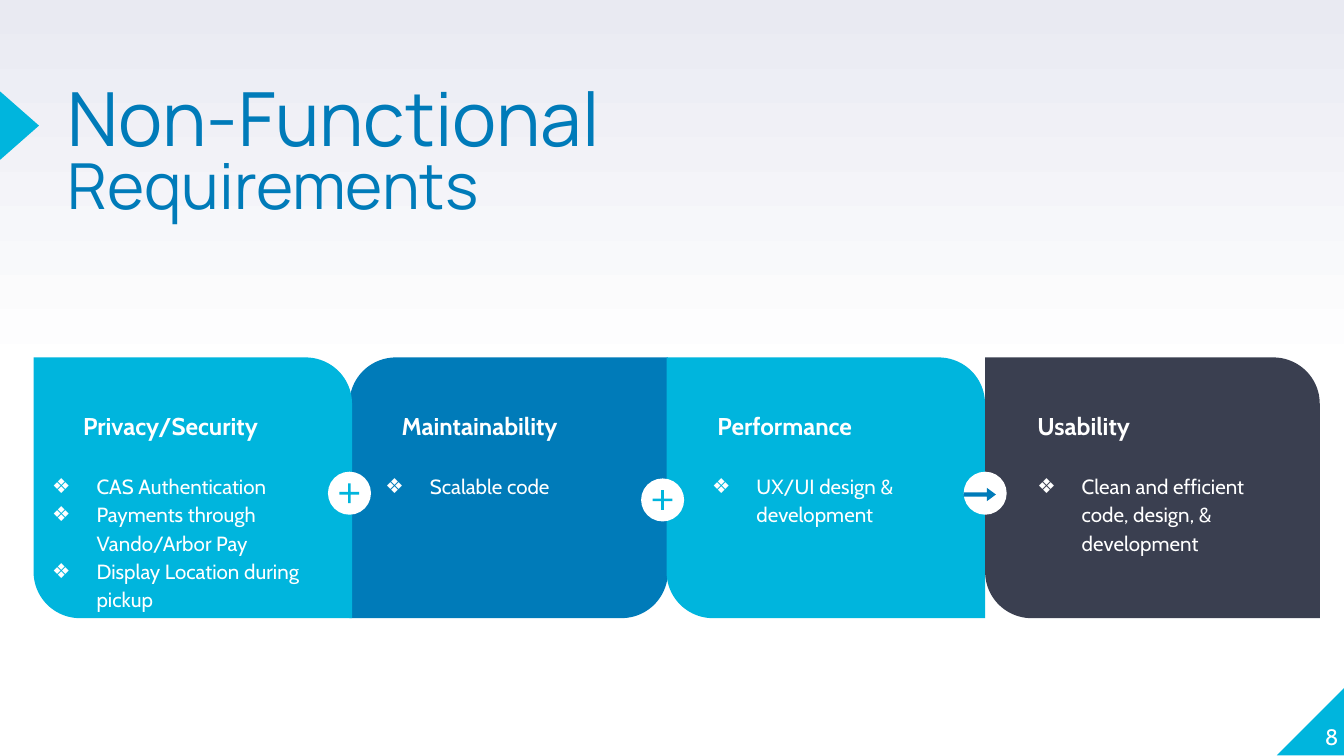
from lxml import etree
from pptx import Presentation, util as u
from pptx.dml.color import RGBColor
from pptx.enum import shapes, text
from pptx.oxml import ns

CYAN, BLUE, DARK, WHITE = "00B5DD", "007BB9", "3A3F50", "FFFFFF"
SHAPE = shapes.MSO_SHAPE
CARD_TOP, CARD_H, HEAD_TOP, LIST_TOP = 2.66, 1.94, 2.96, 3.4
BADGE, PLUS = 0.32, 0.2

prs = Presentation()
prs.slide_width = u.Inches(10)
prs.slide_height = prs.slide_width * 9 // 16
s = prs.slides.add_slide(prs.slide_layouts[5])


def add_shape(kind, x, y, w, h, color, adj=(), rotation=0):
    sp = s.shapes.add_shape(kind, *map(u.Inches, (x, y, w, h)))
    sp.shadow.inherit = False
    sp.fill.solid()
    sp.fill.fore_color.rgb = RGBColor.from_string(color)
    sp.line.fill.background()
    sp.rotation = rotation
    for i, value in enumerate(adj):
        sp.adjustments[i] = value


def write(sp, lines, sizes, font="Cabin", color=WHITE, bold=False, inset=0.1,
          spacing=1.0, align=text.PP_ALIGN.LEFT, anchor=text.MSO_ANCHOR.TOP,
          bullet=None):
    """Fill a shape with one paragraph per line; sizes pair with lines."""
    tf = sp.text_frame
    tf.word_wrap = True
    tf.auto_size = text.MSO_AUTO_SIZE.NONE
    tf.vertical_anchor = anchor
    tf.margin_left = tf.margin_right = u.Inches(inset)
    tf.margin_top = tf.margin_bottom = u.Inches(inset)
    for i, (line, size) in enumerate(zip(lines, sizes)):
        p = tf.add_paragraph() if i else tf.paragraphs[0]
        p.alignment, p.line_spacing = align, spacing
        r = p.add_run()
        r.text = line
        r.font.name, r.font.size, r.font.bold = font, u.Pt(size), bold
        r.font.color.rgb = RGBColor.from_string(color)
        if bullet:
            pPr = p._p.get_or_add_pPr()
            pPr.set("marL", str(u.Inches(0.5)))
            pPr.set("indent", str(-u.Inches(0.33)))
            clr = etree.SubElement(pPr, ns.qn("a:buClr"))
            etree.SubElement(clr, ns.qn("a:srgbClr"), val=color)
            etree.SubElement(pPr, ns.qn("a:buSzPts"), val=str(size * 100))
            etree.SubElement(pPr, ns.qn("a:buFont"), typeface=font)
            etree.SubElement(pPr, ns.qn("a:buChar"), char=bullet)


# Background: white up to the middle, then lavender towards the top
fill = s.background.fill
fill.gradient()
fill.gradient_angle = 90
for stop, position, color in zip(fill.gradient_stops, (0.5, 1), (WHITE, "E9EAF2")):
    stop.position = position
    stop.color.rgb = RGBColor.from_string(color)

# Corner and title marker
add_shape(SHAPE.RIGHT_TRIANGLE, 9.5, 5.11, 0.51, 0.51, CYAN, rotation=270)
add_shape(SHAPE.ISOSCELES_TRIANGLE, -0.11, 0.79, 0.51, 0.29, CYAN, rotation=90)

# Title and page number
title = s.shapes.title
title.left, title.top, title.width, title.height = map(u.Inches, (0.5, 0.66, 7.71, 1.18))
write(title, ["Non-Functional", "Requirements"], [40, 34], font="Manrope",
      color=BLUE, inset=0, spacing=0.8)
page = s.shapes.add_textbox(*map(u.Inches, (9.46, 5.07, 0.5, 0.51)))
write(page, ["8"], [12], inset=0, align=text.PP_ALIGN.RIGHT,
      anchor=text.MSO_ANCHOR.BOTTOM)

# Cards: left, width, colour, corners, heading, heading left, list left, text widths, items
RISING, FALLING = (0, 0.178), (0.178, 0)
cards = [
    (2.6, 2.37, BLUE, FALLING, "Maintainability", 2.89, 2.6, 1.77, 1.77,
     ["Scalable code"]),
    (0.25, 2.37, CYAN, RISING, "Privacy/Security", 0.52, 0.12, 1.77, 2.43,
     ["CAS Authentication", "Payments through Vando/Arbor Pay",
      "Display Location during pickup"]),
    (4.96, 2.37, CYAN, RISING, "Performance", 5.24, 5.03, 1.77, 1.77,
     ["UX/UI design & development"]),
    (7.33, 2.49, DARK, RISING, "Usability", 7.62, 7.45, 2.01, 2.01,
     ["Clean and efficient code, design, & development"]),
]
for x, w, color, corners, heading, head_x, list_x, head_w, list_w, items in cards:
    add_shape(SHAPE.ROUND_2_DIAG_RECTANGLE, x, CARD_TOP, w, CARD_H, color, corners)
    head = s.shapes.add_textbox(*map(u.Inches, (head_x, HEAD_TOP, head_w, 0.57)))
    write(head, [heading], [13], bold=True)
    body = s.shapes.add_textbox(*map(u.Inches, (list_x, LIST_TOP, list_w, 0.63)))
    write(body, items, [11] * len(items), spacing=1.15, bullet="❖")

# Badges on the seams between cards
for x, y in ((2.44, 3.51), (4.77, 3.56), (7.17, 3.51)):
    add_shape(SHAPE.OVAL, x, y, BADGE, BADGE, WHITE)
    if x < 7:
        gap = (BADGE - PLUS) / 2
        add_shape(SHAPE.MATH_PLUS, x + gap, y + gap, PLUS, PLUS, CYAN, [0.099])
    else:
        add_shape(SHAPE.RIGHT_ARROW, x, y + 0.12, 0.24, 0.1, BLUE, [0.32, 0.67])

prs.save("out.pptx")
